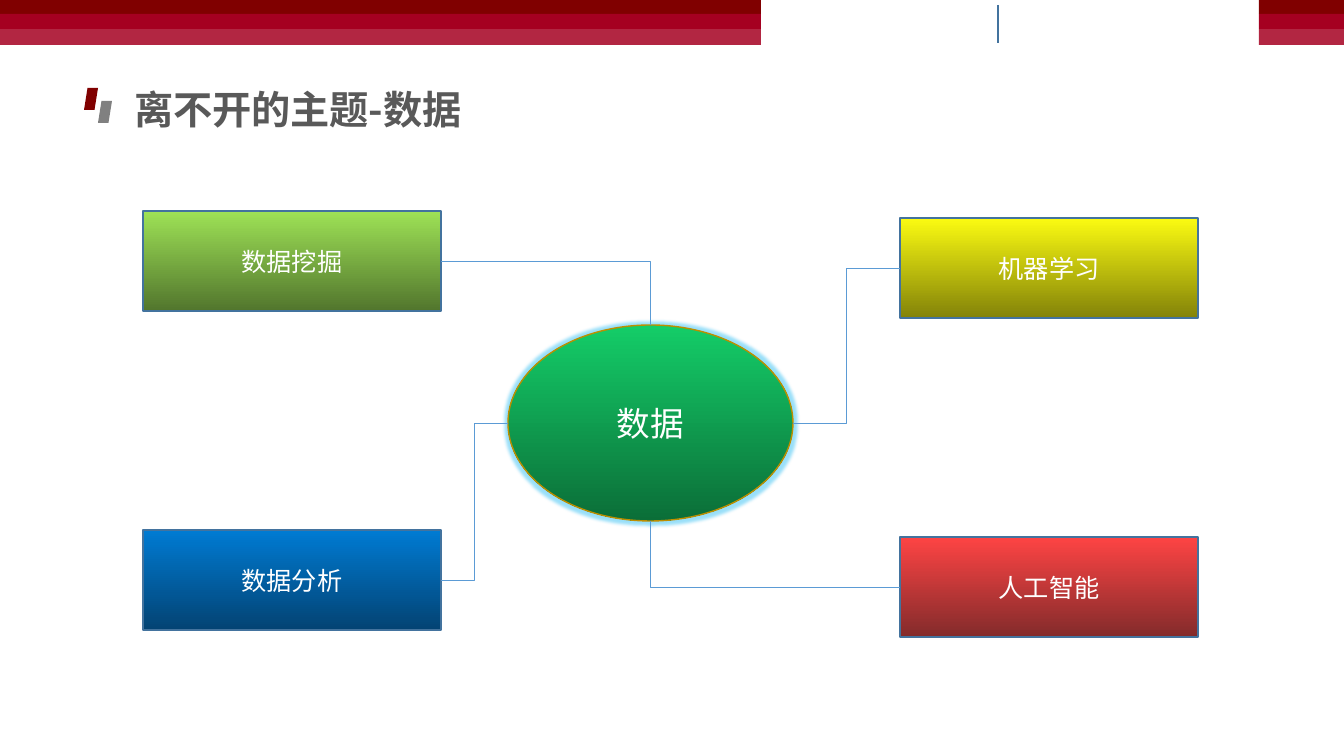
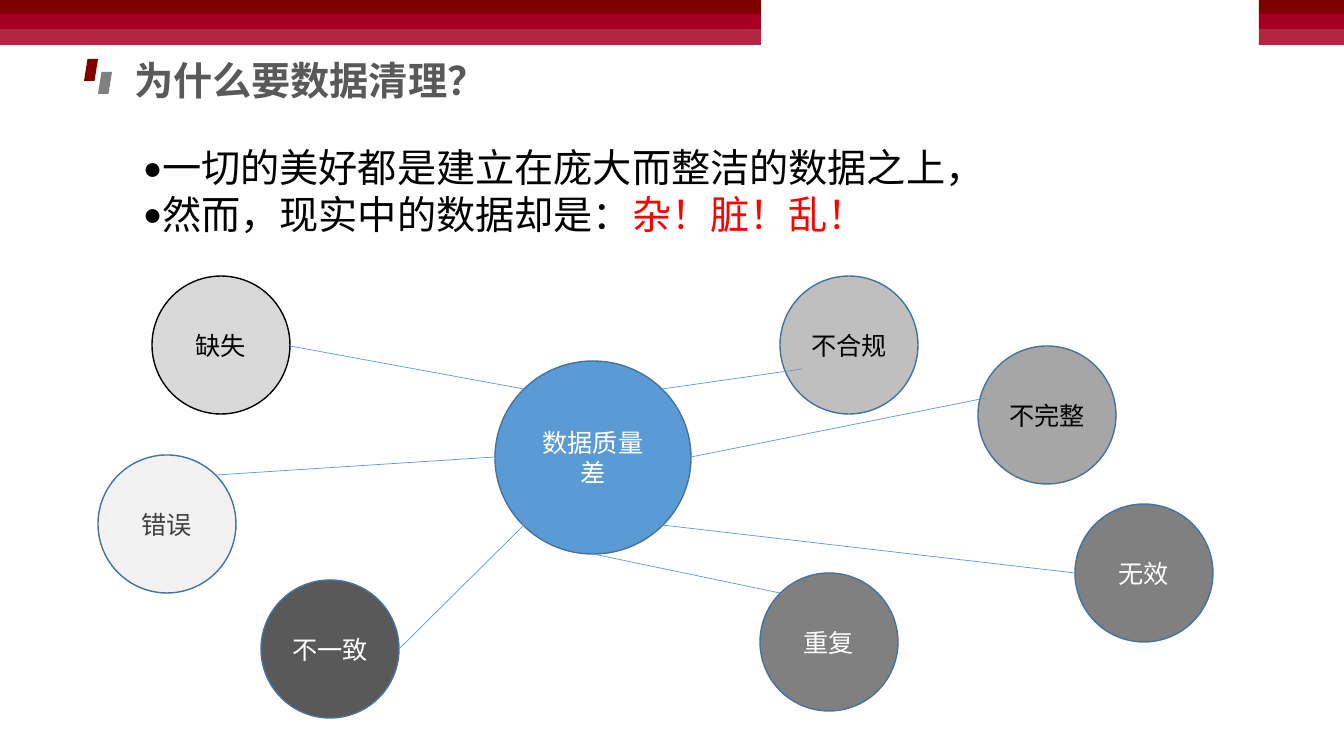
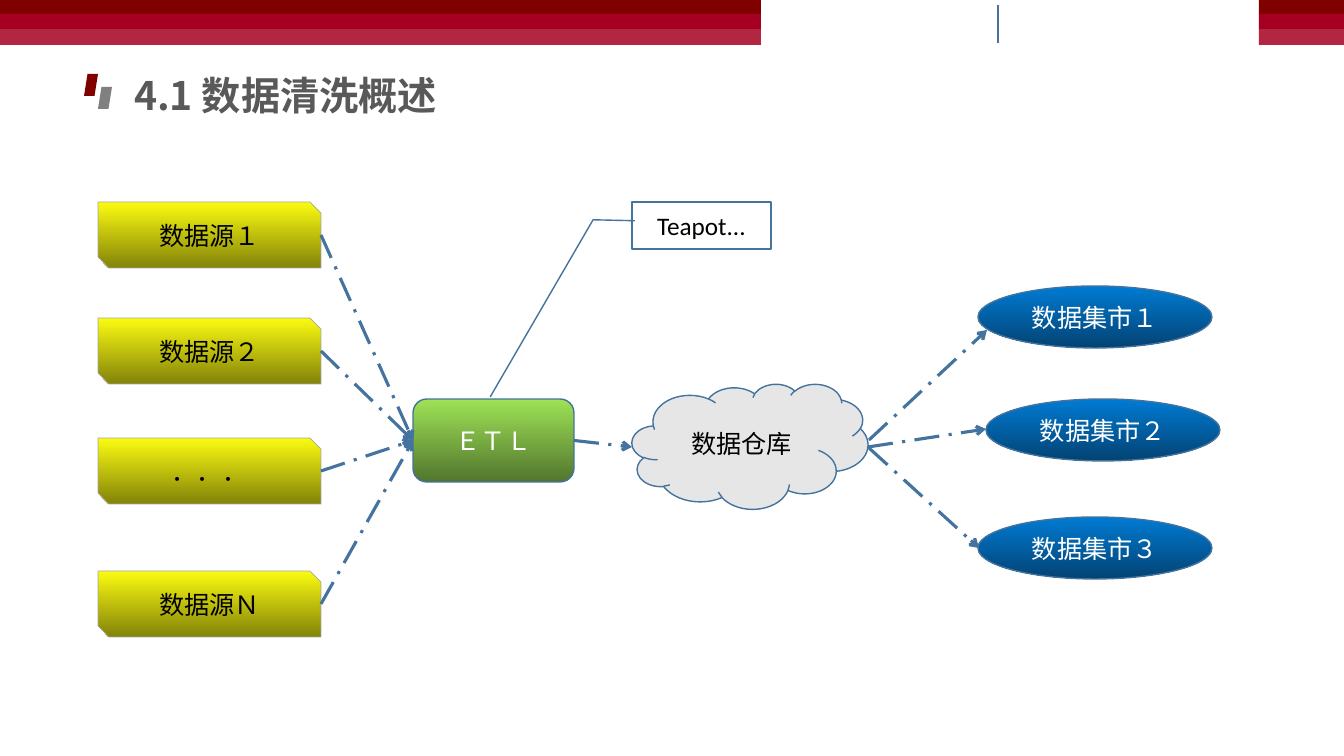
from lxml.etree import SubElement
from pptx import Presentation
from pptx.dml.color import RGBColor
from pptx.enum.dml import MSO_LINE
from pptx.enum.shapes import MSO_CONNECTOR as LINK, MSO_SHAPE as FORM
from pptx.enum.text import MSO_ANCHOR, PP_ALIGN
from pptx.oxml.ns import qn
from pptx.util import Pt

SCALE = 914400 / 100.8  # EMU in one px

WHITE = RGBColor(0xFF, 0xFF, 0xFF)
BLACK = RGBColor(0x00, 0x00, 0x00)
RED = RGBColor(0xFF, 0x00, 0x00)
MAROON = RGBColor(0x80, 0x00, 0x00)
CRIMSON = RGBColor(0xA5, 0x00, 0x21)
ROSE = RGBColor(0xB2, 0x26, 0x42)
CHARCOAL = RGBColor(0x40, 0x40, 0x40)
DARK_GREY = RGBColor(0x59, 0x59, 0x59)
MID_GREY = RGBColor(0x80, 0x80, 0x80)
GREY = RGBColor(0xA6, 0xA6, 0xA6)
SILVER = RGBColor(0xBF, 0xBF, 0xBF)
LIGHT_GREY = RGBColor(0xD9, 0xD9, 0xD9)
CLOUD_GREY = RGBColor(0xE7, 0xE6, 0xE6)
PALE_GREY = RGBColor(0xF2, 0xF2, 0xF2)
SNIP_EDGE = RGBColor(0xA5, 0xA5, 0xA5)
BLUE = RGBColor(0x5B, 0x9B, 0xD5)
EDGE_BLUE = RGBColor(0x43, 0x73, 0x9E)
GOLD = RGBColor(0xBD, 0x8E, 0x00)

# Gradients from top to bottom
EMERALD_FADE = (RGBColor(0x14, 0xCD, 0x68), RGBColor(0x0B, 0x6E, 0x38))
YELLOW_FADE = (RGBColor(0xFB, 0xFB, 0x11), RGBColor(0x83, 0x83, 0x09))
RED_FADE = (RGBColor(0xFE, 0x44, 0x44), RGBColor(0x83, 0x2B, 0x2B))
GREEN_FADE = (RGBColor(0x9E, 0xE2, 0x56), RGBColor(0x52, 0x76, 0x2D))
BLUE_FADE = (RGBColor(0x00, 0x7B, 0xD3), RGBColor(0x03, 0x43, 0x73))

TITLE_FONT = {"name": "Noto Sans CJK SC", "size": Pt(28), "bold": True}
BODY_FONT = {"name": "Calibri", "size": Pt(28)}
HUB_FONT = {"name": "Calibri", "size": Pt(24)}
LABEL_FONT = {"name": "Calibri", "size": Pt(18)}

TOP, LEFT, BOTTOM, RIGHT = range(4)


def add_span(para, text, color, font=LABEL_FONT):
    span = para.add_run()
    span.text = text
    for key, value in font.items():
        setattr(span.font, key, value)
    span.font.color.rgb = color
    props = span._r.get_or_add_rPr()
    props.set("lang", "zh-CN")
    SubElement(props, qn("a:ea"), typeface=font["name"])


def add_box(page, form, place, fill, edge=None, width=1, text="", color=WHITE, font=LABEL_FONT):
    box = page.shapes.add_shape(form, *[round(v * SCALE) for v in place])
    box.shadow.inherit = False
    if isinstance(fill, RGBColor):
        box.fill.solid()
        box.fill.fore_color.rgb = fill
    else:
        box.fill.gradient()
        box.fill.gradient_angle = 270
        for stop, shade in zip(box.fill.gradient_stops, fill):
            stop.color.rgb = shade
    if edge is None:
        box.line.fill.background()
    else:
        box.line.color.rgb = edge
        box.line.width = Pt(width)
    if text:
        frame = box.text_frame
        frame.word_wrap = True
        frame.vertical_anchor = MSO_ANCHOR.MIDDLE
        frame.paragraphs[0].alignment = PP_ALIGN.CENTER
        add_span(frame.paragraphs[0], text, color, font)
    return box


deck = Presentation()
deck.slide_width, deck.slide_height = round(1344 * SCALE), round(756 * SCALE)
layout = deck.slide_layouts[5]
links = []  # connector, colour, width, has arrow

# Titles with their markers; the header rule is absent on the second slide
pages = []
for title, top, width, has_rule in [
    ("离不开的主题-数据", 80, 476, True),
    ("为什么要数据清理？", 51, 476, False),
    ("4.1 数据清洗概述", 66, 353, True),
]:
    page = deck.slides.add_slide(layout)
    pages.append(page)
    holder = page.shapes.title
    for key, value in {"left": 124, "top": top, "width": width, "height": 57}.items():
        setattr(holder, key, round(value * SCALE))
    holder.text_frame.vertical_anchor = MSO_ANCHOR.MIDDLE
    holder.text_frame.paragraphs[0].alignment = PP_ALIGN.LEFT
    add_span(holder.text_frame.paragraphs[0], title, DARK_GREY, TITLE_FONT)
    add_box(page, FORM.PARALLELOGRAM, (84, top + 8, 14, 22), MAROON)
    add_box(page, FORM.PARALLELOGRAM, (98, top + 21, 14, 22), MID_GREY)
    if has_rule:
        ends = [round(v * SCALE) for v in (998, 5, 998, 43)]
        links.append((page.shapes.add_connector(LINK.STRAIGHT, *ends), EDGE_BLUE, 1, False))
topic_page, quality_page, flow_page = pages

# Header bands, moved to the shared layout
for left, width in [(0, 761), (1259, 85)]:
    for top, height, color in [(0, 14, MAROON), (14, 15, CRIMSON), (29, 16, ROSE)]:
        band = add_box(topic_page, FORM.RECTANGLE, (left, top, width, height), color)
        layout.shapes.element.append(band.element)

# Slide 1: data and its four topics
hub = add_box(topic_page, FORM.OVAL, (508, 325, 285, 196), EMERALD_FADE, GOLD, 1, "数据", font=HUB_FONT)
glow = SubElement(hub.element.spPr.find(qn("a:effectLst")), qn("a:glow"), rad="63500")
tint = SubElement(glow, qn("a:srgbClr"), val="00B0F0")
SubElement(tint, qn("a:alpha"), val="40000")

for text, left, top, fill, side, hub_side in [
    ("机器学习", 900, 218, YELLOW_FADE, LEFT, RIGHT),
    ("人工智能", 900, 537, RED_FADE, LEFT, BOTTOM),
    ("数据挖掘", 143, 211, GREEN_FADE, RIGHT, TOP),
    ("数据分析", 143, 530, BLUE_FADE, RIGHT, LEFT),
]:
    topic = add_box(topic_page, FORM.RECTANGLE, (left, top, 298, 100), fill, EDGE_BLUE, 1, text)
    link = topic_page.shapes.add_connector(LINK.ELBOW, 0, 0, 0, 0)
    link.begin_connect(topic, side)
    link.end_connect(hub, hub_side)
    # An ellipse has eight connection sites, two for each side
    link.element.find(".//" + qn("a:endCxn")).set("idx", str(hub_side * 2))
    if hub_side in (TOP, BOTTOM):
        link.element.spPr.find(qn("a:prstGeom")).set("prst", "bentConnector2")
    links.append((link, BLUE, 0.5, False))

# Slide 2: bullets
body = quality_page.shapes.add_textbox(*[round(v * SCALE) for v in (133, 144, 970, 122)])
body.text_frame.word_wrap = True
for number, spans in enumerate([
    [("一切的美好都是建立在庞大而整洁的数据之上，", BLACK)],
    [("然而，现实中的数据却是：", BLACK), ("杂！脏！乱！", RED)],
]):
    para = body.text_frame.paragraphs[0] if number == 0 else body.text_frame.add_paragraph()
    para.line_spacing = 0.9
    para.space_before = Pt(3)
    for text, color in spans:
        add_span(para, text, color, BODY_FONT)
    # Bullet close to its text
    props = para._p.get_or_add_pPr()
    props.set("marL", str(round(14 * SCALE)))
    props.set("indent", str(-round(14 * SCALE)))
    SubElement(props, qn("a:buFont"), typeface="Calibri")
    SubElement(props, qn("a:buChar"), char="•")

# Slide 2: quality problems around the centre
add_box(quality_page, FORM.OVAL, (495, 361, 196, 193), BLUE, EDGE_BLUE, 1, "数据质量差")
for text, left, top, fill, edge, color in [
    ("错误", 98, 455, PALE_GREY, EDGE_BLUE, CHARCOAL),
    ("缺失", 152, 276, LIGHT_GREY, BLACK, BLACK),
    ("不一致", 261, 580, DARK_GREY, EDGE_BLUE, WHITE),
    ("重复", 760, 573, MID_GREY, EDGE_BLUE, WHITE),
    ("不完整", 978, 346, GREY, EDGE_BLUE, BLACK),
    ("无效", 1075, 504, MID_GREY, EDGE_BLUE, WHITE),
    ("不合规", 780, 276, SILVER, EDGE_BLUE, BLACK),
]:
    add_box(quality_page, FORM.OVAL, (left, top, 138, 138), fill, edge, 1, text, color)

for ends in [
    (290, 346, 524, 389),
    (662, 389, 802, 369),
    (691, 457, 986, 398),
    (662, 525, 1075, 573),
    (216, 475, 495, 457),
    (399, 649, 524, 525),
    (593, 554, 780, 593),
]:
    link = quality_page.shapes.add_connector(LINK.STRAIGHT, *[round(v * SCALE) for v in ends])
    links.append((link, BLUE, 0.5, False))

# Slide 3: sources flow into the ETL step
etl = add_box(flow_page, FORM.ROUNDED_RECTANGLE, (413, 399, 161, 83), GREEN_FADE, EDGE_BLUE, 1, "ＥＴＬ")
for text, top in [("数据源１", 202), ("数据源２", 318), ("．．．", 438), ("数据源Ｎ", 571)]:
    add_box(flow_page, FORM.SNIP_2_DIAG_RECTANGLE, (98, top, 223, 66), YELLOW_FADE, SNIP_EDGE, 0.5, text, BLACK)
    ends = [round(v * SCALE) for v in (321, top + 33, 413, 440)]
    link = flow_page.shapes.add_connector(LINK.STRAIGHT, *ends)
    link.end_connect(etl, LEFT)
    links.append((link, EDGE_BLUE, 2.25, True))

# Slide 3: warehouse and data marts
add_box(flow_page, FORM.CLOUD, (632, 384, 236, 125), CLOUD_GREY, EDGE_BLUE, 1, "数据仓库", BLACK)
link = flow_page.shapes.add_connector(LINK.STRAIGHT, *[round(v * SCALE) for v in (574, 440, 632, 447)])
link.begin_connect(etl, RIGHT)
links.append((link, EDGE_BLUE, 2.25, True))

for text, left, top, ends in [
    ("数据集市１", 978, 286, (869, 440, 987, 330)),
    ("数据集市２", 986, 399, (868, 447, 986, 429)),
    ("数据集市３", 978, 517, (869, 448, 979, 548)),
]:
    add_box(flow_page, FORM.OVAL, (left, top, 234, 62), BLUE_FADE, EDGE_BLUE, 1, text)
    link = flow_page.shapes.add_connector(LINK.STRAIGHT, *[round(v * SCALE) for v in ends])
    links.append((link, EDGE_BLUE, 2.25, True))

# Slide 3: tool callout
callout = add_box(flow_page, FORM.LINE_CALLOUT_2, (632, 202, 139, 47), WHITE, EDGE_BLUE, 1, "Teapot...", BLACK)
for number, value in enumerate([0.4, 0.02, 0.38, -0.28, 4.15, -1.02]):
    callout.adjustments[number] = value

# Line styles
for link, color, width, has_arrow in links:
    link.line.color.rgb = color
    link.line.width = Pt(width)
    if has_arrow:
        link.line.dash_style = MSO_LINE.LONG_DASH_DOT
        SubElement(link.element.spPr.find(qn("a:ln")), qn("a:tailEnd"), type="arrow")
    SubElement(link.element.spPr, qn("a:effectLst"))

deck.save("out.pptx")
